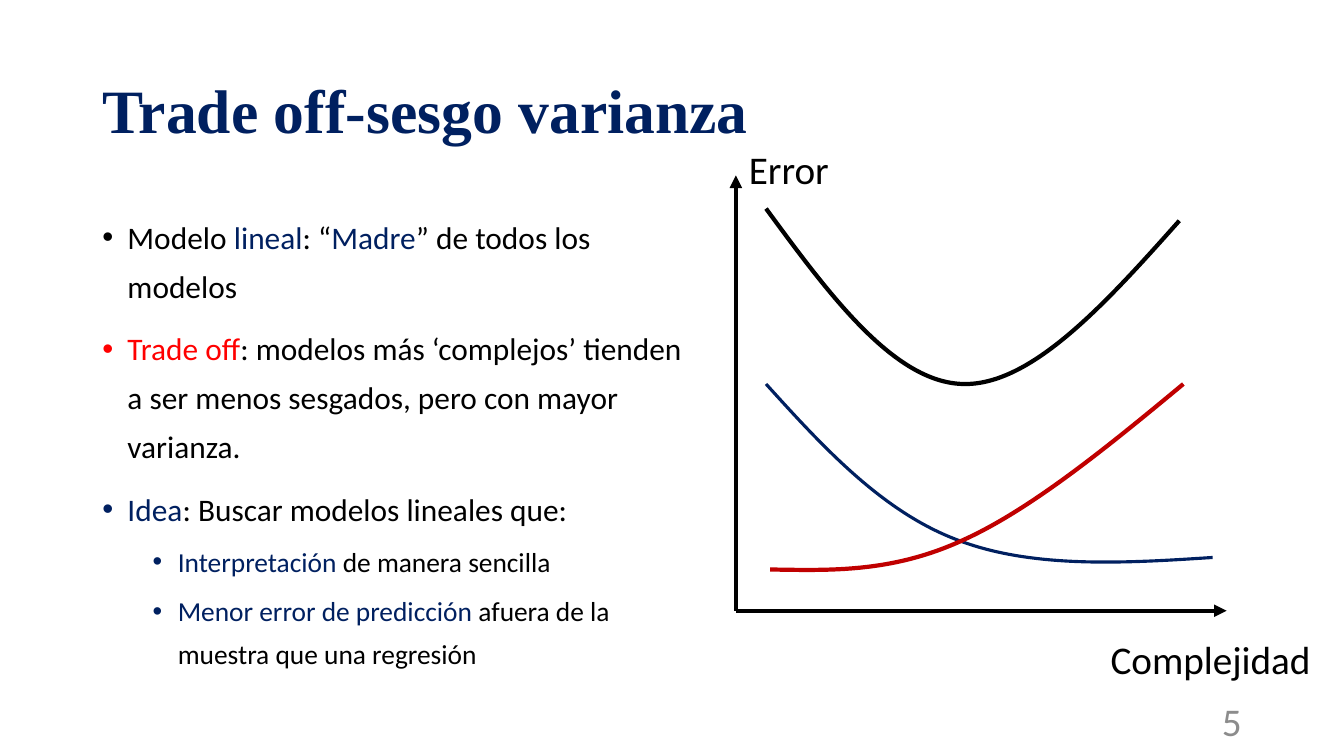
from lxml import etree
from pptx import Presentation
from pptx.dml.color import RGBColor
from pptx.enum.shapes import MSO_CONNECTOR as Connector
from pptx.enum.text import MSO_ANCHOR as Anchor, PP_ALIGN as Align
from pptx.oxml.ns import qn
from pptx.util import Pt

BLACK, NAVY, RED, DARK_RED, GRAY = "000000", "002060", "FF0000", "C00000", "8C8C8C"

TITLE = "Trade off-sesgo varianza"
# (level, [(text, colour), ...])
BULLETS = [
    (0, [("Modelo ", BLACK), ("lineal", NAVY), (": “", BLACK), ("Madre", NAVY),
         ("” de todos los modelos", BLACK)]),
    (0, [("Trade off", RED),
         (": modelos más ‘complejos’ tienden a ser menos sesgados, "
          "pero con mayor varianza.", BLACK)]),
    (0, [("Idea", NAVY), (": Buscar modelos lineales que:", BLACK)]),
    (1, [("Interpretación ", NAVY), ("de manera sencilla", BLACK)]),
    (1, [("Menor error de predicción ", NAVY),
         ("afuera de la muestra que una regresión", BLACK)]),
]
# Per level: size, left indent, space before
LEVELS = [(22.4, 18, 10), (19.6, 54, 5)]
HANGING = 18

ORIGIN = (525.6, 436.3)
AXIS_ENDS = [(876.2, 436.3), (525.6, 125.3)]
# Start point, then three points for each Bezier piece
CURVES = [
    (BLACK, 3, [(547.2, 149), (592.6, 210.9), (638.6, 272.9), (687.6, 274.3),
                (736.6, 275.8), (789.8, 216.7), (842.4, 157.7)]),
    (NAVY, 2.25, [(547.2, 274.3), (588.2, 319.7), (630, 365), (682.6, 385.2),
                  (735.8, 406.1), (801.4, 402.5), (866.2, 398.2)]),
    (DARK_RED, 3, [(550.1, 406.8), (593.3, 407.5), (636.5, 409), (686.2, 386.6),
                   (735.1, 365), (790.6, 319.7), (845.3, 274.3)]),
]
AXIS_LABELS = [("Complejidad", (786.2, 450, 160.6, 41)),
               ("Error", (527.8, 100.1, 97.2, 41))]


def rgb(code):
    return RGBColor.from_string(code)


def add_text(box, paragraphs, *, font="Calibri", size=28, bold=False, align=Align.LEFT,
             anchor=Anchor.TOP, wrap=True, spacing=1.0, bulleted=False):
    """Add a text box; paragraphs are (level, [(text, colour), ...])."""
    frame = slide.shapes.add_textbox(*map(Pt, box)).text_frame
    frame.word_wrap = wrap
    frame.vertical_anchor = anchor
    for index, (level, runs) in enumerate(paragraphs):
        paragraph = frame.paragraphs[0] if index == 0 else frame.add_paragraph()
        paragraph.alignment = align
        paragraph.line_spacing = spacing
        paragraph.level = level
        run_size = size
        if bulleted:
            run_size, indent, before = LEVELS[level]
            paragraph.space_before = Pt(before if index else 0)
            props = paragraph._p.get_or_add_pPr()
            props.set("marL", str(Pt(indent)))
            props.set("indent", str(-Pt(HANGING)))
            etree.SubElement(props, qn("a:buFont")).set("typeface", "Arial")
            etree.SubElement(props, qn("a:buChar")).set("char", "•")
        for text, color in runs:
            run = paragraph.add_run()
            run.text = text
            run.font.name = font
            run.font.size = Pt(run_size)
            run.font.bold = bold
            run.font.color.rgb = rgb(color)


def add_axis(end):
    axis = slide.shapes.add_connector(Connector.STRAIGHT, *map(Pt, ORIGIN + end))
    axis.line.color.rgb = rgb(BLACK)
    axis.line.width = Pt(3)
    etree.SubElement(axis.line._get_or_add_ln(), qn("a:tailEnd")).set("type", "triangle")
    etree.SubElement(axis._element.spPr, qn("a:effectLst"))


def add_curve(color, width, points):
    start, *rest = [(Pt(x), Pt(y)) for x, y in points]
    builder = slide.shapes.build_freeform(*start)
    builder.add_line_segments(rest, close=False)
    curve = builder.convert_to_shape()
    # Each three straight segments become one cubic Bezier piece
    segments = list(curve._element.iter(qn("a:lnTo")))
    for first in range(0, len(segments), 3):
        bezier = etree.Element(qn("a:cubicBezTo"))
        segments[first].addprevious(bezier)
        for segment in segments[first:first + 3]:
            bezier.append(segment[0])
            segment.getparent().remove(segment)
    curve.fill.background()
    curve.line.color.rgb = rgb(color)
    curve.line.width = Pt(width)
    curve.shadow.inherit = False


deck = Presentation()
deck.slide_width, deck.slide_height = Pt(960), Pt(540)
slide = deck.slides.add_slide(deck.slide_layouts[6])

add_text((66, 28.75, 828, 104.4), [(0, [(TITLE, NAVY)])], font="Times New Roman",
         size=44, bold=True, anchor=Anchor.MIDDLE, spacing=0.9)
add_text((66, 144, 439.2, 342.7), BULLETS, spacing=1.3, bulleted=True)
add_text((678, 500.5, 216, 28.75), [(0, [("5", GRAY)])], align=Align.RIGHT,
         anchor=Anchor.MIDDLE)
for axis_end in AXIS_ENDS:
    add_axis(axis_end)
for curve_data in CURVES:
    add_curve(*curve_data)
for label, label_box in AXIS_LABELS:
    add_text(label_box, [(0, [(label, BLACK)])], wrap=False)

deck.save("out.pptx")
